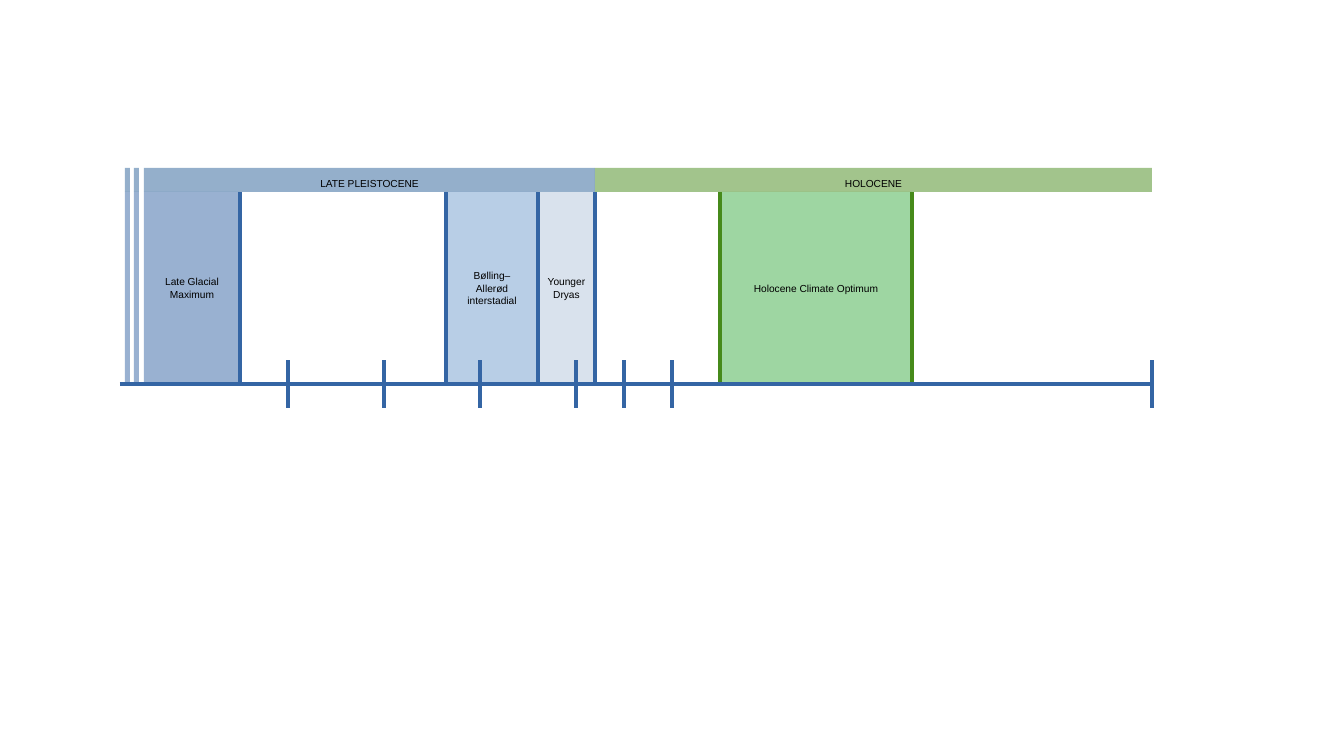
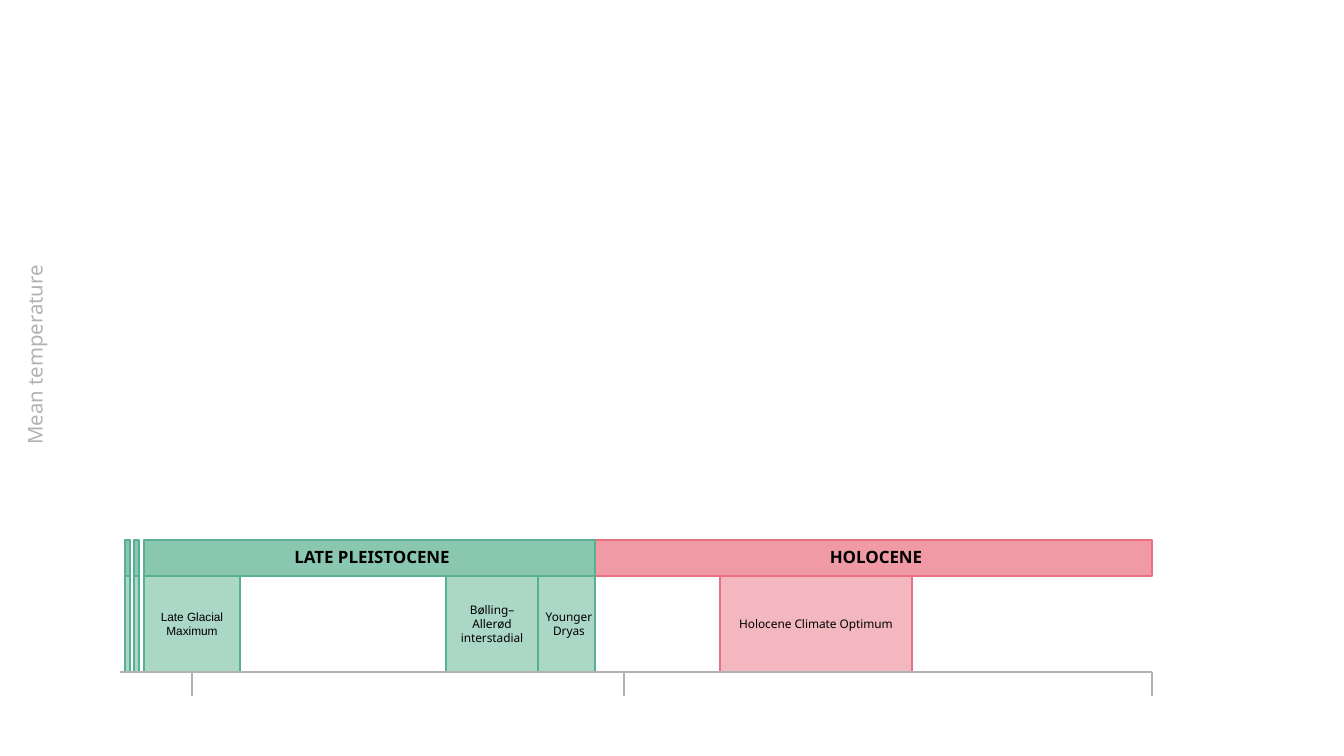
from dataclasses import dataclass

from lxml.etree import SubElement
from pptx import Presentation
from pptx.dml.color import RGBColor
from pptx.enum.shapes import MSO_CONNECTOR, MSO_SHAPE
from pptx.enum.text import MSO_ANCHOR, MSO_AUTO_SIZE, PP_ALIGN
from pptx.oxml.ns import qn
from pptx.util import Pt

PX = 7500
BLACK = RGBColor(0x00, 0x00, 0x00)
GREY = RGBColor(0xB2, 0xB2, 0xB2)
NAVY = RGBColor(0x2A, 0x60, 0x99)
BLUE = RGBColor(0x34, 0x65, 0xA4)
SKY = RGBColor(0x72, 0x9F, 0xCF)
ICE = RGBColor(0xB4, 0xC7, 0xDC)
OLIVE = RGBColor(0x46, 0x8A, 0x1A)
GREEN = RGBColor(0x3F, 0xAF, 0x46)
TEAL = RGBColor(0x58, 0xB0, 0x90)
PINK = RGBColor(0xE9, 0x70, 0x80)

AXIS = (120, 1152)
PLEISTOCENE = (144, 595)
HOLOCENE = (595, 1152)
STRIPS = (125, 134)
STRIP_W = 5
LABEL_H = 57
TITLE_H = 48
PERIODS = (
    ("Late Glacial Maximum", 144, 240),
    ("Bølling–Allerød interstadial", 446, 538),
    ("Younger Dryas", 538, 595),
    ("Holocene Climate Optimum", 720, 912),
)
COLD_EDGES = (240, 446, 538, 595)
WARM_EDGES = (720, 912)


@dataclass
class Timeline:
    """Rows, colours and type of one version of the timeline."""
    band_top: int
    band_bottom: int
    axis_y: int
    ticks: tuple
    tick_span: tuple
    eras: tuple
    era_alpha: int
    periods: tuple
    borders: tuple
    edges: tuple
    edge_pt: float
    axis: RGBColor
    axis_pt: float
    fonts: tuple
    label_pt: int
    title_pt: int
    title_bold: bool
    title_y: int
    title_spans: tuple
    dryas_span: tuple


PLAIN = Timeline(
    band_top=168, band_bottom=192, axis_y=384,
    ticks=(288, 384, 480, 576, 624, 672, 1152), tick_span=(360, 408),
    eras=(NAVY, OLIVE), era_alpha=50,
    periods=(BLUE, SKY, ICE, GREEN), borders=(None,) * 4,
    edges=(BLUE, OLIVE), edge_pt=0, axis=BLUE, axis_pt=0,
    fonts=("Arial",) * 4, label_pt=6, title_pt=6, title_bold=False,
    title_y=183, title_spans=(PLEISTOCENE, HOLOCENE), dryas_span=(533, 600))

STYLED = Timeline(
    band_top=540, band_bottom=576, axis_y=672,
    ticks=(192, 624, 1152), tick_span=(672, 696),
    eras=(TEAL, PINK), era_alpha=70,
    periods=(TEAL, TEAL, TEAL, PINK), borders=(0, 0, 0, 0.5),
    edges=(TEAL, PINK), edge_pt=1, axis=GREY, axis_pt=1.5,
    fonts=("Arial",) + ("Noto Sans",) * 3, label_pt=7, title_pt=10,
    title_bold=True, title_y=557, title_spans=((168, 576), (624, 1128)),
    dryas_span=(533, 605))


def add_block(s, x0, x1, y0, y1, color, alpha, border):
    """Draw a translucent rectangle, outlined when border is a width."""
    sp = s.shapes.add_shape(MSO_SHAPE.RECTANGLE, x0 * PX, y0 * PX,
                            (x1 - x0) * PX, (y1 - y0) * PX)
    sp.shadow.inherit = False
    sp.fill.solid()
    sp.fill.fore_color.rgb = color
    clr = sp._element.spPr.find(qn("a:solidFill"))[0]
    SubElement(clr, qn("a:alpha")).set("val", str(alpha * 1000))
    if border is None:
        sp.line.fill.background()
    else:
        sp.line.color.rgb = color
        sp.line.width = Pt(border)


def add_line(s, x0, y0, x1, y1, color, width):
    """Draw a straight line."""
    ln = s.shapes.add_connector(MSO_CONNECTOR.STRAIGHT,
                                x0 * PX, y0 * PX, x1 * PX, y1 * PX)
    ln.line.color.rgb = color
    ln.line.width = Pt(width)
    SubElement(ln._element.spPr, qn("a:effectLst"))


def add_label(s, text, x0, x1, mid, h, font, size, bold=False, color=BLACK,
              grow=True):
    """Write centred text in a box around the height mid."""
    tb = s.shapes.add_textbox(x0 * PX, round((mid - h / 2) * PX),
                              (x1 - x0) * PX, h * PX)
    tf = tb.text_frame
    tf.word_wrap = True
    tf.auto_size = MSO_AUTO_SIZE.SHAPE_TO_FIT_TEXT if grow else MSO_AUTO_SIZE.NONE
    tf.vertical_anchor = MSO_ANCHOR.MIDDLE
    tf.text = text
    p = tf.paragraphs[0]
    p.alignment = PP_ALIGN.CENTER
    f = p.runs[0].font
    f.name, f.size, f.bold = font, Pt(size), bold
    f.color.rgb = color
    return tb


def add_blocks(s, t):
    """Draw the era bands, the period blocks and the strips leading in."""
    cold, warm = t.eras
    for (x0, x1), color in ((HOLOCENE, warm), (PLEISTOCENE, cold)):
        add_block(s, x0, x1, t.band_top, t.band_bottom, color,
                  t.era_alpha, t.borders[0])
    for (_, x0, x1), color, border in zip(PERIODS, t.periods, t.borders):
        add_block(s, x0, x1, t.band_bottom, t.axis_y, color, 50, border)
    for x in STRIPS:
        add_block(s, x, x + STRIP_W, t.band_top, t.band_bottom, cold,
                  t.era_alpha, t.borders[0])
        add_block(s, x, x + STRIP_W, t.band_bottom, t.axis_y, t.periods[0],
                  50, t.borders[0])


def add_lines(s, t):
    """Draw the period edges, the axis and its ticks."""
    for xs, color in zip((COLD_EDGES, WARM_EDGES), t.edges):
        for x in xs:
            add_line(s, x, t.band_bottom, x, t.axis_y, color, t.edge_pt)
    add_line(s, AXIS[0], t.axis_y, AXIS[1], t.axis_y, t.axis, t.axis_pt)
    for x in t.ticks:
        add_line(s, x, t.tick_span[0], x, t.tick_span[1], t.axis, t.axis_pt)


def add_labels(s, t):
    """Write the era titles and the period names."""
    for text, (x0, x1) in zip(("LATE PLEISTOCENE", "HOLOCENE"), t.title_spans):
        add_label(s, text, x0, x1, t.title_y, TITLE_H, t.fonts[-1],
                  t.title_pt, t.title_bold, grow=False)
    mid = (t.band_bottom + t.axis_y) / 2
    for (text, x0, x1), font in zip(PERIODS, t.fonts):
        if text == "Younger Dryas":
            x0, x1 = t.dryas_span
        add_label(s, text, x0, x1, mid, LABEL_H, font, t.label_pt)


def add_timeline(prs, t):
    """Add a slide with one version of the timeline."""
    s = prs.slides.add_slide(prs.slide_layouts[6])
    add_blocks(s, t)
    add_lines(s, t)
    add_labels(s, t)
    return s


def main():
    """Build and save both slides."""
    prs = Presentation()
    prs.slide_width, prs.slide_height = 1344 * PX, 756 * PX
    add_timeline(prs, PLAIN)
    s = add_timeline(prs, STYLED)
    tb = add_label(s, "Mean temperature", -129, 198, 355, LABEL_H,
                   "Noto Sans", 12, color=GREY)
    tb.rotation = 270
    prs.save("out.pptx")


if __name__ == "__main__":
    main()
